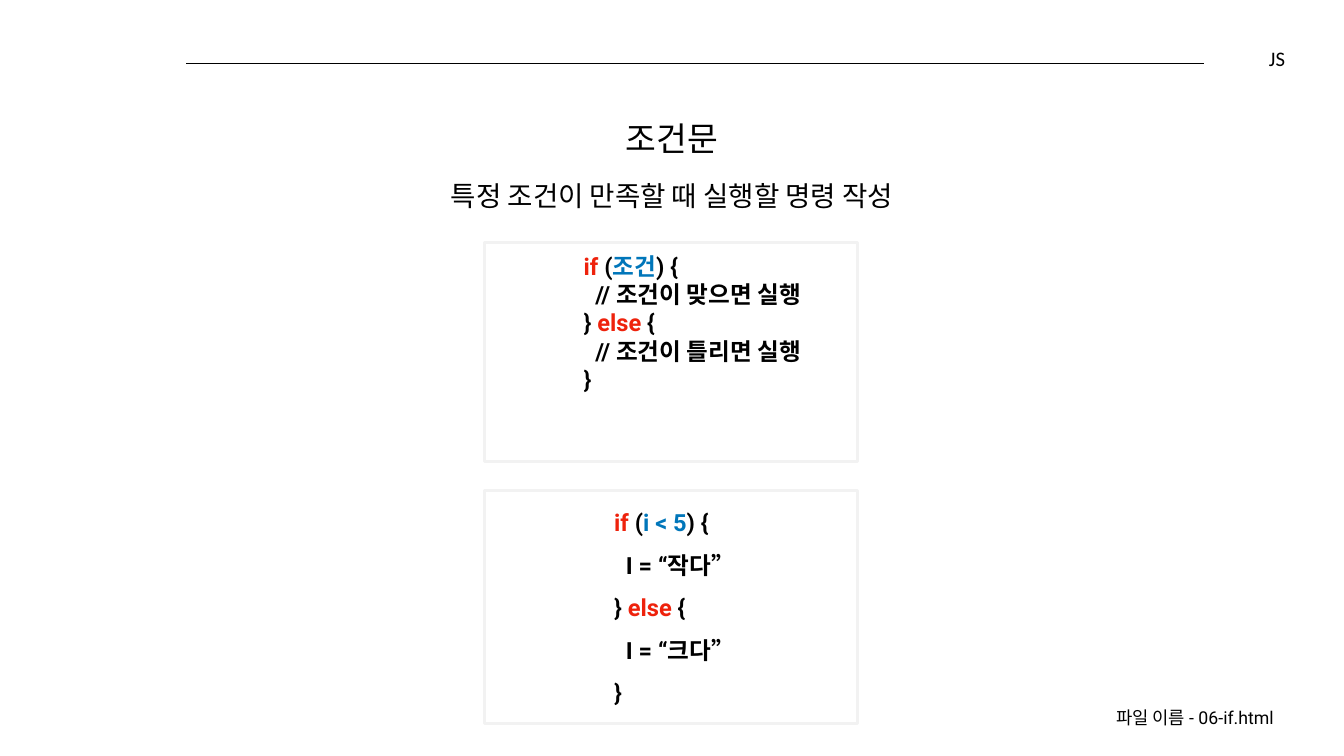
from dataclasses import dataclass

from lxml import etree
from pptx import Presentation
from pptx import util as u
from pptx.dml.color import RGBColor
from pptx.enum import shapes, text
from pptx.oxml import ns

PAGE_WIDTH, PAGE_HEIGHT = u.Inches(18.97), u.Inches(10.67)

BLACK = RGBColor(0x00, 0x00, 0x00)
RED = RGBColor(0xEE, 0x22, 0x0C)
BLUE = RGBColor(0x00, 0x76, 0xBA)
PALE_GREY = RGBColor(0xF2, 0xF2, 0xF2)

LEFT, CENTER, RIGHT = text.PP_ALIGN.LEFT, text.PP_ALIGN.CENTER, text.PP_ALIGN.RIGHT


@dataclass(frozen=True)
class Area:
    """Place and size as percentages of the slide."""
    left: float
    top: float
    width: float
    height: float

    def lengths(self) -> tuple:
        return (across(self.left), down(self.top), across(self.width), down(self.height))


@dataclass(frozen=True)
class Span:
    words: str
    color: RGBColor = BLACK


@dataclass(frozen=True)
class TextBlock:
    area: Area
    paragraphs: list
    size: float
    font: str = "Roboto"
    align: text.PP_ALIGN = LEFT
    inset: float = 0.19
    bold: bool = False
    spacing: float = 1.0
    grows: bool = True


def across(percent: float) -> int:
    return round(PAGE_WIDTH * percent / 100)


def down(percent: float) -> int:
    return round(PAGE_HEIGHT * percent / 100)


def assign(target, values: dict) -> None:
    for name, value in values.items():
        setattr(target, name, value)


def draw_rule(page, left: float, right: float, top: float) -> None:
    rule = page.shapes.add_connector(
        shapes.MSO_CONNECTOR.STRAIGHT, across(right), down(top), across(left), down(top))
    rule.line.color.rgb = BLACK
    rule.line.width = u.Pt(0.75)
    etree.SubElement(rule._element.spPr, ns.qn("a:effectLst"))


def draw_frame(page, area: Area) -> None:
    frame = page.shapes.add_shape(shapes.MSO_SHAPE.RECTANGLE, *area.lengths())
    frame.shadow.inherit = False
    frame.fill.background()
    frame.line.color.rgb = PALE_GREY
    frame.line.width = u.Pt(3)


def write_span(para, span: Span, block: TextBlock) -> None:
    for index, line in enumerate(span.words.split("\n")):
        if index:
            para.add_line_break()
        run = para.add_run()
        run.text = line
        assign(run.font, {"name": block.font, "size": u.Pt(block.size), "bold": block.bold})
        run.font.color.rgb = span.color


def draw_text(page, block: TextBlock) -> None:
    frame = page.shapes.add_textbox(*block.area.lengths()).text_frame
    sides = ("left", "top", "right", "bottom")
    assign(frame, {f"margin_{side}": u.Inches(block.inset) for side in sides})
    fit = text.MSO_AUTO_SIZE
    assign(frame, {
        "word_wrap": True,
        "vertical_anchor": text.MSO_ANCHOR.TOP,
        "auto_size": fit.SHAPE_TO_FIT_TEXT if block.grows else fit.NONE,
    })
    for index, spans in enumerate(block.paragraphs):
        para = frame.add_paragraph() if index else frame.paragraphs[0]
        assign(para, {"alignment": block.align, "line_spacing": block.spacing})
        for span in spans:
            write_span(para, span, block)


def code_block(area: Area, paragraphs: list, spacing: float = 1.0) -> TextBlock:
    return TextBlock(area, paragraphs, 24, inset=0.05, bold=True, spacing=spacing)


FRAMES = [Area(36.06, 32.05, 27.73, 28.96), Area(36.06, 64.85, 27.73, 30.83)]

TEXTS = [
    # Page label, file name and headings
    TextBlock(Area(66.68, 6, 28.94, 3.56), [[Span("JS")]], 21, "Calibri", RIGHT,
              inset=0, grows=False),
    TextBlock(Area(73.01, 92.03, 22.77, 6.56), [[Span("파일 이름 - 06-if.html")]], 18,
              align=RIGHT),
    TextBlock(Area(19.87, 13.87, 60.25, 8.9), [[Span("조건문")]], 34, align=CENTER),
    TextBlock(Area(19.87, 21.84, 60.25, 8.25),
              [[Span("특정 조건이 만족할 때 실행할 명령 작성")]], 28, align=CENTER),
    # Syntax
    code_block(Area(43.17, 32.8, 17.03, 20.43), [[
        Span("if", RED), Span(" ("), Span("조건", BLUE),
        Span(") {\n  // 조건이 맞으면 실행\n} "), Span("else", RED),
        Span(" {\n  // 조건이 틀리면 실행\n}"),
    ]]),
    # Example
    code_block(Area(45.44, 64.85, 17.03, 28.02), [
        [Span("if", RED), Span(" ("), Span("i < 5", BLUE),
         Span(") {\n  I = “작다”\n} "), Span("else", RED), Span(" {")],
        [Span("  I = “크다”")],
        [Span("}")],
    ], spacing=1.5),
]


def main() -> None:
    deck = Presentation()
    assign(deck, {"slide_width": PAGE_WIDTH, "slide_height": PAGE_HEIGHT})
    page = deck.slides.add_slide(deck.slide_layouts[6])
    draw_rule(page, left=13.81, right=89.56, top=8.43)
    for area in FRAMES:
        draw_frame(page, area)
    for block in TEXTS:
        draw_text(page, block)
    deck.save("out.pptx")


if __name__ == "__main__":
    main()
